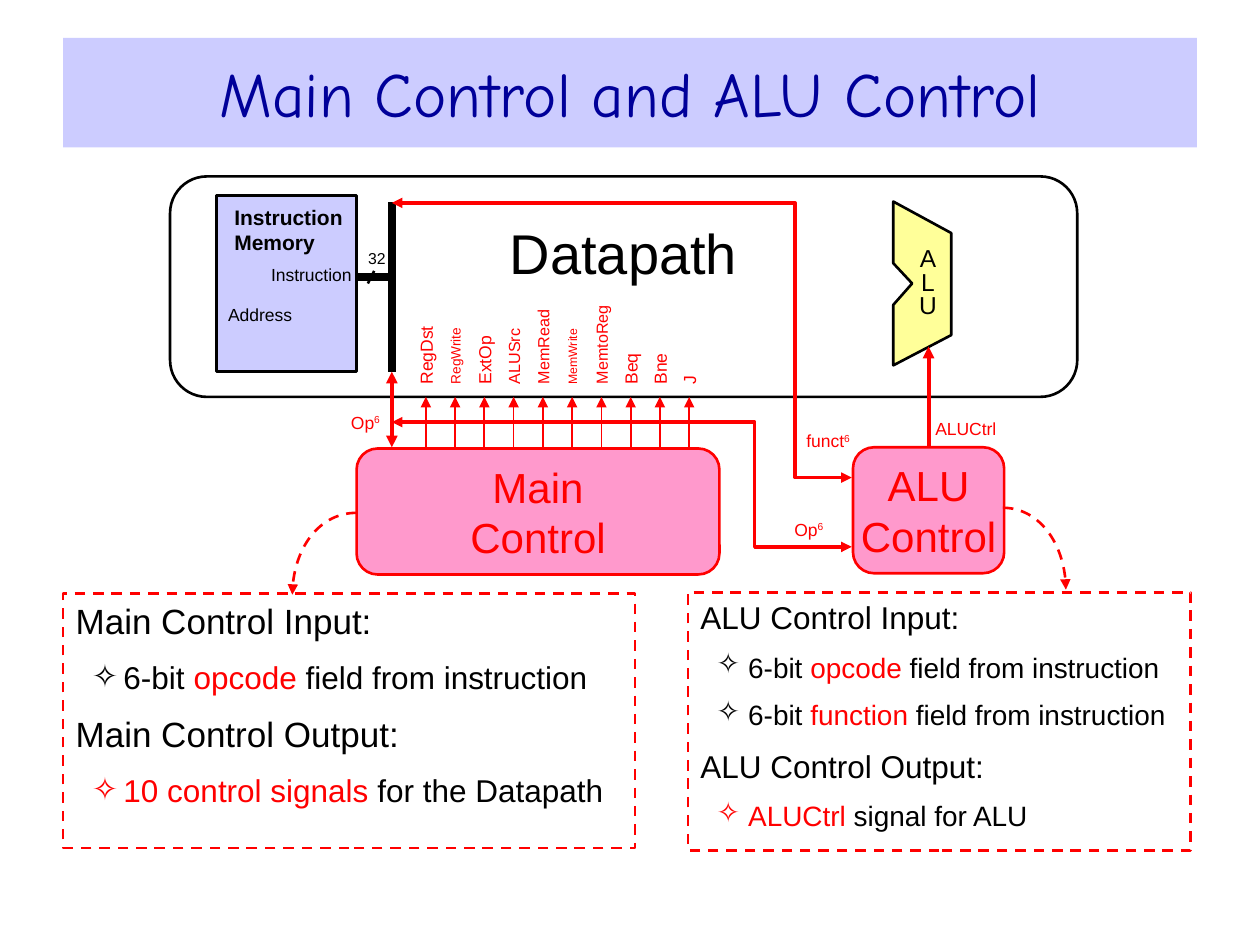
import pptx
import pptx.util
import pptx.dml.color
import pptx.enum.dml
import pptx.enum.shapes
import pptx.enum.text
import pptx.oxml.ns
from lxml import etree

Inches, Pt = pptx.util.Inches, pptx.util.Pt
qn = pptx.oxml.ns.qn
ALIGN = pptx.enum.text.PP_ALIGN
ANCHOR = pptx.enum.text.MSO_ANCHOR
SHAPE = pptx.enum.shapes.MSO_SHAPE

# Theme
THEME = {
    "font": "Arial", "title_font": "Comic Neue",
    "black": "000000", "red": "FF0000", "navy": "000099",
    "lilac": "CCCCFF", "pink": "FF99CC", "yellow": "FFFF99",
    "title": 36, "datapath": 32, "control": 24, "alu": 14,
    "memory": 12, "label": 10, "width": 9,
    "outline": 1.5, "wire": 2, "strong": 2.25, "signal": 1, "bus": 4.5,
}
BLACK, RED = THEME["black"], THEME["red"]

# Content: a paragraph is a string or a list of (text, style) runs
TITLE = "Main Control and ALU Control"
OP = [("Op", ""), ("6", "sup")]
FUNCT = [("funct", ""), ("6", "sup")]
MAIN_PANEL = [
    (0, "Main Control Input:"),
    (1, [("6-bit ", ""), ("opcode", "red"), (" field from instruction", "")]),
    (0, "Main Control Output:"),
    (1, [("10 control signals", "red"), (" for the Datapath", "")]),
]
ALU_PANEL = [
    (0, "ALU Control Input:"),
    (1, [("6-bit ", ""), ("opcode", "red"), (" field from instruction", "")]),
    (1, [("6-bit ", ""), ("function", "red"), (" field from instruction", "")]),
    (0, "ALU Control Output:"),
    (1, [("ALUCtrl", "red"), (" signal for ALU", "")]),
]
SIGNALS = [("RegDst", 10), ("RegWrite", 7.8), ("ExtOp", 10), ("ALUSrc", 9.2),
           ("MemRead", 9.2), ("MemWrite", 7), ("MemtoReg", 9.2),
           ("Beq", 10), ("Bne", 10), ("J", 10)]
ALU_OUTLINE = [(7.09, 2.9), (7.55, 2.66), (7.55, 1.85), (7.09, 1.6),
               (7.09, 2.09), (7.24, 2.25), (7.09, 2.42)]
BUS_X = 3.11
OP_WIRE = [(BUS_X, 3.35), (5.99, 3.35), (5.99, 4.34), (6.76, 4.34)]
FUNCT_WIRE = [(BUS_X, 1.61), (6.31, 1.61), (6.31, 3.79), (6.76, 3.79)]
MAIN_CURVE = [(2.83, 4.07), (2.55, 4.07), (2.32, 4.36), (2.32, 4.72)]
ALU_CURVE = [(7.96, 4.03), (8.23, 4.03), (8.46, 4.32), (8.46, 4.68)]


def rgb(color):
    return pptx.dml.color.RGBColor.from_string(color)


def write(frame, paragraphs, *, size, color=BLACK, font=THEME["font"], bold=False,
          align=ALIGN.LEFT, anchor=ANCHOR.MIDDLE, margins=(0, 0), wrap=True,
          line_spacing=1.0, space_before=0, bullet=False):
    """Append paragraphs to a text frame in one format."""
    frame.word_wrap, frame.vertical_anchor = wrap, anchor
    frame.auto_size = pptx.enum.text.MSO_AUTO_SIZE.NONE
    frame.margin_left = frame.margin_right = Inches(margins[0])
    frame.margin_top = frame.margin_bottom = Inches(margins[1])
    for content in paragraphs:
        runs = [(content, "")] if isinstance(content, str) else content
        first = not frame.text
        paragraph = frame.paragraphs[0] if first else frame.add_paragraph()
        properties = paragraph._p.get_or_add_pPr()
        properties.set("marL", str(Inches(0.38 if bullet else 0)))
        properties.set("indent", str(Inches(-0.25 if bullet else 0)))
        if bullet:
            paragraph.level = 1
            bullet_color = etree.SubElement(properties, qn("a:buClr"))
            etree.SubElement(bullet_color, qn("a:srgbClr"),
                             val=RED if runs[0][1] == "red" else color)
            etree.SubElement(properties, qn("a:buChar"), char="✧")
        else:
            etree.SubElement(properties, qn("a:buNone"))
        paragraph.alignment, paragraph.line_spacing = align, line_spacing
        paragraph.space_before = Pt(0 if first else space_before)
        for text, style in runs:
            run = paragraph.add_run()
            run.text = text
            run.font.name, run.font.size, run.font.bold = font, Pt(size), bold
            run.font.color.rgb = rgb(RED if style == "red" else color)
            if style == "sup":
                run.font._element.set("baseline", "30000")


def place(part, left, top, width, height):
    part.left, part.top = Inches(left), Inches(top)
    part.width, part.height = Inches(width), Inches(height)


def paint(part, fill=None, line=None, width=THEME["outline"], dashed=False):
    part.shadow.inherit = False
    if fill:
        part.fill.solid()
        part.fill.fore_color.rgb = rgb(fill)
    else:
        part.fill.background()
    if line:
        stroke(part, line, width, dashed)


def stroke(part, color, width, dashed=False, ends=()):
    part.line.color.rgb, part.line.width = rgb(color), Pt(width)
    if dashed:
        part.line.dash_style = pptx.enum.dml.MSO_LINE.DASH
    outline = part._element.spPr.find(qn("a:ln"))
    for end in ends:
        etree.SubElement(outline, qn(f"a:{end}End"), type="triangle")


def box(shapes, kind, at, **style):
    part = shapes.add_shape(kind, *map(Inches, at))
    if kind == SHAPE.ROUNDED_RECTANGLE:
        part.adjustments[0] = 0.167
    paint(part, **style)
    return part


def label(shapes, at, paragraphs, rotation=0, **style):
    part = shapes.add_textbox(*map(Inches, at))
    part.rotation = rotation
    write(part.text_frame, paragraphs, **style)


def wire(shapes, start, finish, color, width, ends=()):
    part = shapes.add_connector(pptx.enum.shapes.MSO_CONNECTOR.STRAIGHT,
                                *map(Inches, start + finish))
    stroke(part, color, width, ends=ends)
    etree.SubElement(part._element.spPr, qn("a:effectLst"))
    return part


def outline(shapes, points, close=False, fill=None, line=RED,
            width=THEME["wire"], dashed=False, ends=(), curved=False):
    corners = [(Inches(x), Inches(y)) for x, y in points]
    builder = shapes.build_freeform(*corners[0], scale=1.0)
    builder.add_line_segments(corners[1:], close=close)
    part = builder.convert_to_shape()
    if curved:  # the three later points become one Bezier segment
        segments = list(part._element.iter(qn("a:lnTo")))
        bezier = etree.SubElement(segments[0].getparent(), qn("a:cubicBezTo"))
        for segment in segments:
            bezier.append(segment[0])
            segment.getparent().remove(segment)
    paint(part, fill)
    stroke(part, line, width, dashed, ends)


def panel(part, lines, sizes, gaps):
    paint(part, line=RED, dashed=True)
    for level, content in lines:
        write(part.text_frame, [content], size=sizes[level], space_before=gaps[level],
              bullet=level == 1, anchor=ANCHOR.TOP, margins=(0.1, 0.05))


def main():
    deck = pptx.Presentation()
    deck.slide_width, deck.slide_height = Inches(10), Inches(7.5)
    slide = deck.slides.add_slide(deck.slide_layouts[1])
    shapes = slide.shapes
    both, tail = ("head", "tail"), ("tail",)
    red_label = {"size": THEME["label"], "color": RED}
    centred = {"align": ALIGN.CENTER}

    # Title and main control panel
    title, main_panel = shapes.title, slide.placeholders[1]
    place(title, 0.5, 0.3, 9, 0.87)
    paint(title, THEME["lilac"])
    write(title.text_frame, [TITLE], size=THEME["title"], color=THEME["navy"],
          font=THEME["title_font"], **centred)
    place(main_panel, 0.5, 4.71, 4.54, 2.02)
    panel(main_panel, MAIN_PANEL, sizes=(20, 18), gaps=(10, 9))

    # Datapath and instruction memory
    label(shapes, (1.35, 1.55, 7.2, 0.9), ["Datapath"], size=THEME["datapath"], **centred)
    box(shapes, SHAPE.ROUNDED_RECTANGLE, (1.35, 1.4, 7.2, 1.75), line=BLACK)
    label(shapes, (2.88, 1.95, 0.18, 0.2), ["32"], size=THEME["width"], align=ALIGN.RIGHT)
    box(shapes, SHAPE.RECTANGLE, (1.72, 1.55, 1.11, 1.4), fill=THEME["lilac"], line=BLACK)
    label(shapes, (1.81, 2.35, 0.69, 0.3), ["Address"], size=THEME["label"])
    label(shapes, (1.91, 2.05, 0.88, 0.25), ["Instruction"], size=THEME["label"],
          align=ALIGN.RIGHT)
    label(shapes, (1.86, 1.55, 0.88, 0.55), ["Instruction", "Memory"],
          size=THEME["memory"], bold=True)
    wire(shapes, (2.83, 2.2), (BUS_X, 2.2), BLACK, THEME["bus"])
    wire(shapes, (2.97, 2.15), (2.92, 2.25), BLACK, THEME["outline"])
    wire(shapes, (BUS_X, 1.6), (BUS_X, 2.95), BLACK, THEME["bus"])

    # ALU
    outline(shapes, ALU_OUTLINE, close=True, fill=THEME["yellow"], line=BLACK,
            width=THEME["outline"])
    label(shapes, (7.17, 1.85, 0.39, 0.81), list("ALU"), size=THEME["alu"],
          line_spacing=0.8, margins=(0.1, 0.05), wrap=False, **centred)

    # ALU control and its panel
    alu_panel = box(shapes, SHAPE.RECTANGLE, (5.46, 4.7, 3.99, 2.05))
    panel(alu_panel, ALU_PANEL, sizes=(18, 16), gaps=(9, 8))
    controls = []
    for name, at in (("ALU", (6.77, 3.55, 1.2, 1)), ("Main", (2.83, 3.56, 2.88, 1))):
        control = box(shapes, SHAPE.ROUNDED_RECTANGLE, at, fill=THEME["pink"], line=RED)
        write(control.text_frame, [name, "Control"], size=THEME["control"], color=RED,
              wrap=False, **centred)
        controls.append(control)
    for curve in (MAIN_CURVE, ALU_CURVE):
        outline(shapes, curve, width=THEME["outline"], dashed=True, ends=tail, curved=True)

    # Control signals, evenly spaced, their labels standing on one base line
    label(shapes, (2.76, 3.25, 0.28, 0.2), [OP], **red_label, **centred)
    wire(shapes, (BUS_X, 2.95), (BUS_X, 3.55), RED, THEME["strong"], both)
    first_x, last_x, base, length, thickness = 3.38, 5.47, 3.05, 0.8, 0.18
    step = (last_x - first_x) / (len(SIGNALS) - 1)
    for index, (signal, size) in enumerate(SIGNALS):
        x = first_x + index * step
        wire(shapes, (x, 3.55), (x, 3.15), RED, THEME["signal"], tail)
        label(shapes, (x - length / 2, base - length / 2 - thickness / 2, length, thickness),
              [signal], rotation=270, size=size, color=RED)

    # Wires into and out of the ALU control
    outline(shapes, OP_WIRE, ends=both)
    alu_wire = wire(shapes, (7.37, 3.55), (7.37, 2.75), RED, THEME["strong"], tail)
    alu_wire.begin_connect(controls[0], 0)
    label(shapes, (6.12, 4.1, 0.6, 0.2), [OP], **red_label, **centred)
    label(shapes, (7.41, 3.3, 0.51, 0.2), ["ALUCtrl"], **red_label, **centred)
    label(shapes, (6.4, 3.41, 0.44, 0.18), [FUNCT], **red_label)
    outline(shapes, FUNCT_WIRE, ends=both)

    deck.save("out.pptx")


if __name__ == "__main__":
    main()
